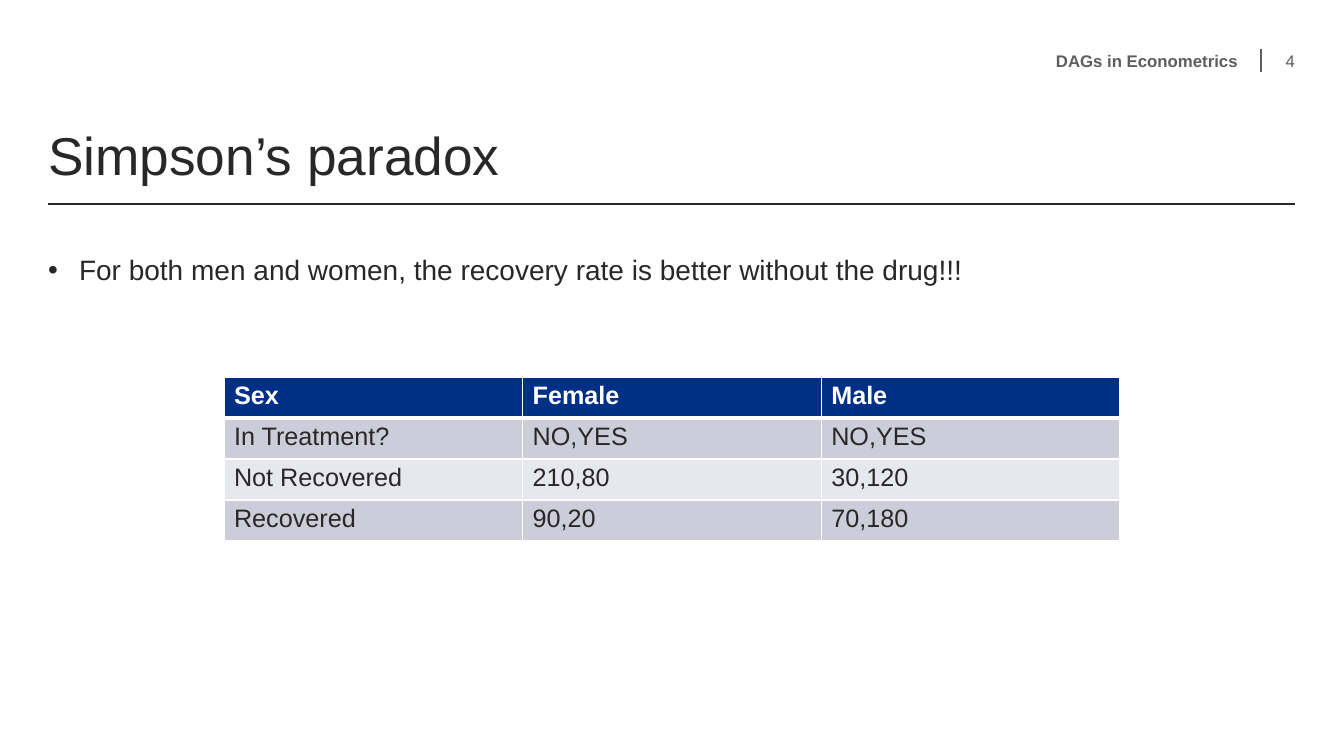
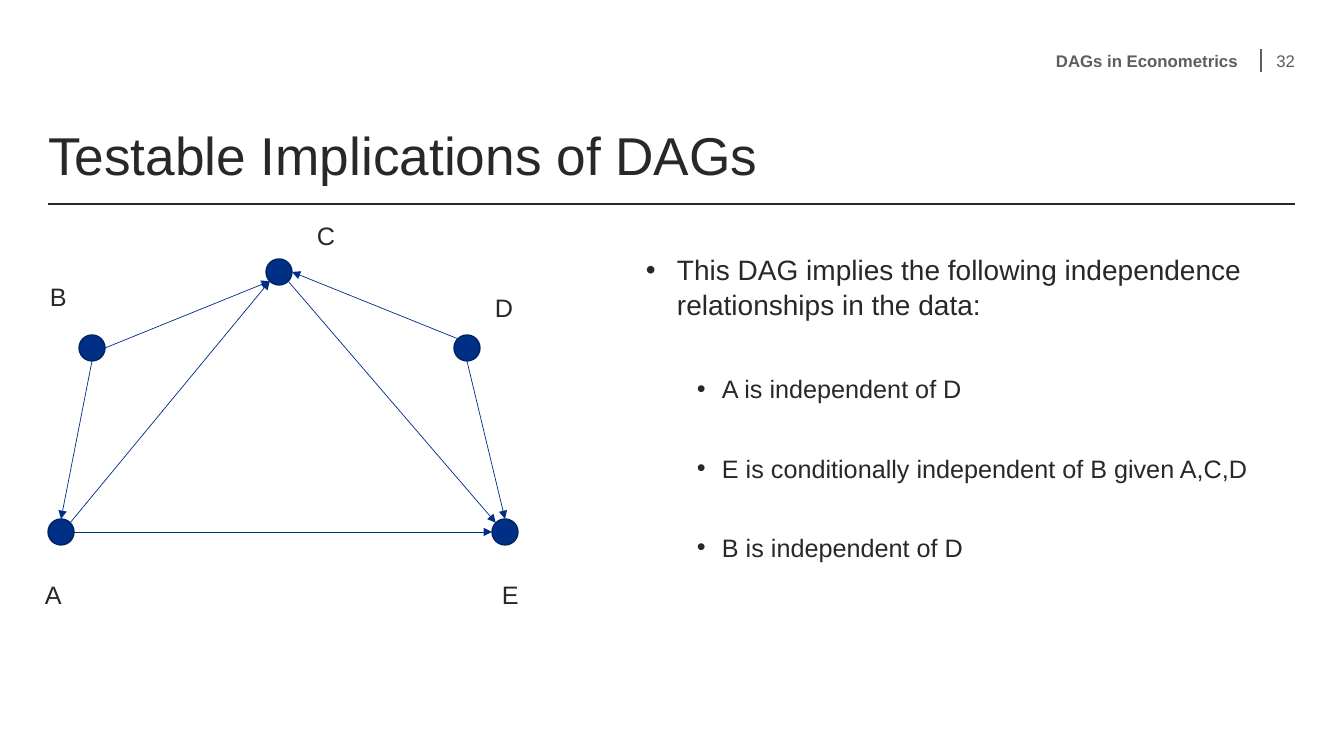
from dataclasses import dataclass

from pptx import Presentation
from pptx.dml.color import RGBColor
from pptx.enum.shapes import MSO_CONNECTOR as Connector, MSO_SHAPE as Shape
from pptx.enum.text import MSO_ANCHOR as Anchor, MSO_AUTO_SIZE as AutoSize, PP_ALIGN as Align
from pptx.oxml import parse_xml
from pptx.oxml.ns import nsdecls, qn
from pptx.util import Emu, Pt

PX_PER_INCH = 100.8
PAGE_WIDTH, PAGE_HEIGHT = 1344, 756
LEFT, RIGHT = 48, 1295
BODY_TOP, BODY_HEIGHT = 251, 457


@dataclass(frozen=True)
class Theme:
    font: str = "Arial"
    ink: str = "282828"
    muted: str = "5E5E5E"
    accent: str = "002F86"
    accent_dark: str = "002363"
    white: str = "FFFFFF"
    bands: tuple = ("CCCDD9", "E7E8ED")
    title_size: int = 38
    header_size: int = 12
    text_size: int = 18
    # One entry per list level
    list_sizes: tuple = (20, 18)
    list_margins: tuple = (31, 76)
    list_hangs: tuple = (31, 25)
    list_spacing: float = 1.05


THEME = Theme()


def px(length):
    return Emu(round(length * 914400 / PX_PER_INCH))


def rgb(color):
    return RGBColor.from_string(color)


def write(para, text, size=THEME.text_size, color=THEME.ink, bold=False,
          align=Align.LEFT, spacing=None, before=0):
    """Put one formatted run of text in a paragraph."""
    para.alignment = align
    para.space_before = Pt(before)
    if spacing:
        para.line_spacing = spacing
    span = para.add_run()
    span.text = text
    span.font.name = THEME.font
    span.font.size = Pt(size)
    span.font.bold = bold
    span.font.color.rgb = rgb(color)


class SlideBuilder:
    """Holds the style and the slide being built."""

    def __init__(self, deck, theme=THEME):
        self.deck, self.theme, self.page = deck, theme, None

    def new_page(self, title, number):
        theme = self.theme
        self.page = self.deck.slides.add_slide(self.deck.slide_layouts[1])
        self.page.background.fill.solid()
        self.page.background.fill.fore_color.rgb = rgb(theme.white)
        # Rules and running header
        self.line((LEFT, 204), (RIGHT, 204), theme.ink)
        self.line((1261, 72), (1261, 49), theme.muted)
        frame = self.place(self.page.shapes.title, LEFT, 126, RIGHT - LEFT, 61, Anchor.BOTTOM)
        write(frame.paragraphs[0], title, size=theme.title_size, spacing=0.9)
        self.header("DAGs in Econometrics", 446, 792, bold=True)
        self.header(number, 1266, 29)

    def place(self, box, left, top, width, height, anchor=Anchor.TOP):
        """Move a text shape, drop its insets and return its text frame."""
        box.left, box.top, box.width, box.height = map(px, (left, top, width, height))
        frame = box.text_frame
        frame.word_wrap = True
        frame.auto_size = AutoSize.NONE
        frame.vertical_anchor = anchor
        frame.margin_left = frame.margin_top = frame.margin_right = frame.margin_bottom = 0
        return frame

    def header(self, text, left, width, bold=False):
        box = self.page.shapes.add_textbox(0, 0, 0, 0)
        frame = self.place(box, left, 49, width, 23, Anchor.MIDDLE)
        write(frame.paragraphs[0], text, size=self.theme.header_size,
              color=self.theme.muted, bold=bold, align=Align.RIGHT)

    def bullets(self, items, left=LEFT):
        """Fill the body with (level, space before, text) items."""
        theme = self.theme
        frame = self.place(self.page.placeholders[1], left, BODY_TOP, RIGHT - left, BODY_HEIGHT)
        for index, (level, before, text) in enumerate(items):
            para = frame.add_paragraph() if index else frame.paragraphs[0]
            para.level = level
            props = para._p.get_or_add_pPr()
            props.set("marL", str(px(theme.list_margins[level])))
            props.set("indent", str(-px(theme.list_hangs[level])))
            props.append(parse_xml(f'<a:buFont {nsdecls("a")} typeface="{theme.font}"/>'))
            props.append(parse_xml(f'<a:buChar {nsdecls("a")} char="•"/>'))
            write(para, text, size=theme.list_sizes[level],
                  spacing=theme.list_spacing, before=before)

    def line(self, start, end, color, width=1, arrow=False):
        connector = self.page.shapes.add_connector(Connector.STRAIGHT, *map(px, (*start, *end)))
        connector.line.color.rgb = rgb(color)
        connector.line.width = Pt(width)
        props = connector.element.spPr
        if arrow:
            props.find(qn("a:ln")).append(
                parse_xml(f'<a:tailEnd {nsdecls("a")} type="triangle"/>'))
        props.append(parse_xml(f'<a:effectLst {nsdecls("a")}/>'))

    def node(self, center, radius):
        x, y = center
        dot = self.page.shapes.add_shape(
            Shape.OVAL, *map(px, (x - radius, y - radius, 2 * radius, 2 * radius)))
        dot.shadow.inherit = False
        dot.fill.solid()
        dot.fill.fore_color.rgb = rgb(self.theme.accent)
        dot.line.color.rgb = rgb(self.theme.accent_dark)
        dot.line.width = Pt(1)

    def label(self, text, left, top):
        box = self.page.shapes.add_textbox(*map(px, (left, top, 43, 40)))
        box.text_frame.word_wrap = True
        box.text_frame.auto_size = AutoSize.SHAPE_TO_FIT_TEXT
        write(box.text_frame.paragraphs[0], text)

    def table(self, rows, left, top, width, row_height):
        theme = self.theme
        grid = self.page.shapes.add_table(
            len(rows), len(rows[0]),
            *map(px, (left, top, width, row_height * len(rows)))).table
        for r, row in enumerate(rows):
            fill = theme.bands[(r - 1) % 2] if r else theme.accent
            # The heavy rule lies between the heading and the first row
            borders = {"lnL": 1, "lnR": 1, "lnT": 3 if r == 1 else 1, "lnB": 1 if r else 3}
            for c, text in enumerate(row):
                cell = grid.cell(r, c)
                self.borders(cell, borders)
                cell.fill.solid()
                cell.fill.fore_color.rgb = rgb(fill)
                write(cell.text_frame.paragraphs[0], text, bold=r == 0,
                      color=theme.ink if r else theme.white)

    def borders(self, cell, widths):
        props = cell._tc.get_or_add_tcPr()
        for side, width in widths.items():
            props.append(parse_xml(
                f'<a:{side} {nsdecls("a")} w="{Pt(width)}"><a:solidFill>'
                f'<a:srgbClr val="{self.theme.white}"/></a:solidFill></a:{side}>'))


# Graph: node centres, label corners, and edges as (node, side) pairs
RADIUS = 13
NODES = {"C": (279, 272), "B": (92, 348), "A": (61, 532), "E": (505, 532), "D": (467, 348)}
LABELS = {"A": (35, 574), "E": (492, 574), "D": (485, 287), "C": (307, 215), "B": (40, 276)}
SIDES = {"top": (0, -1), "left": (-1, 0), "bottom": (0, 1), "right": (1, 0),
         "top left": (-0.71, -0.71), "top right": (0.71, -0.71),
         "bottom left": (-0.71, 0.71), "bottom right": (0.71, 0.71)}
EDGES = [("B", "right", "C", "bottom left"), ("B", "bottom", "A", "top"),
         ("A", "right", "E", "left"), ("A", "top right", "C", "bottom left"),
         ("C", "bottom right", "E", "top left"), ("D", "top left", "C", "right"),
         ("D", "bottom", "E", "top")]


def rim(name, side):
    """Point on a node's outline."""
    return tuple(mid + RADIUS * step for mid, step in zip(NODES[name], SIDES[side]))


def paradox_page(builder):
    builder.new_page("Simpson’s paradox", "4")
    builder.bullets([
        (0, 0, "For both men and women, the recovery rate is better without the drug!!!")])
    builder.table([
        ("Sex", "Female", "Male"),
        ("In Treatment?", "NO,YES", "NO,YES"),
        ("Not Recovered", "210,80", "30,120"),
        ("Recovered", "90,20", "70,180"),
    ], left=224, top=377, width=896, row_height=41)


def implications_page(builder):
    builder.new_page("Testable Implications of DAGs", "32")
    builder.bullets([
        (0, 0, "This DAG implies the following independence relationships in the data:"),
        (1, 36, "A is independent of D"),
        (1, 34, "E is conditionally independent of B given A,C,D"),
        (1, 34, "B is independent of D"),
    ], left=646)
    for center in NODES.values():
        builder.node(center, RADIUS)
    for source, source_side, target, target_side in EDGES:
        builder.line(rim(source, source_side), rim(target, target_side),
                     builder.theme.accent, width=0.5, arrow=True)
    for name, corner in LABELS.items():
        builder.label(name, *corner)


def main():
    deck = Presentation()
    deck.slide_width, deck.slide_height = px(PAGE_WIDTH), px(PAGE_HEIGHT)
    builder = SlideBuilder(deck)
    paradox_page(builder)
    implications_page(builder)
    deck.save("out.pptx")


if __name__ == "__main__":
    main()
